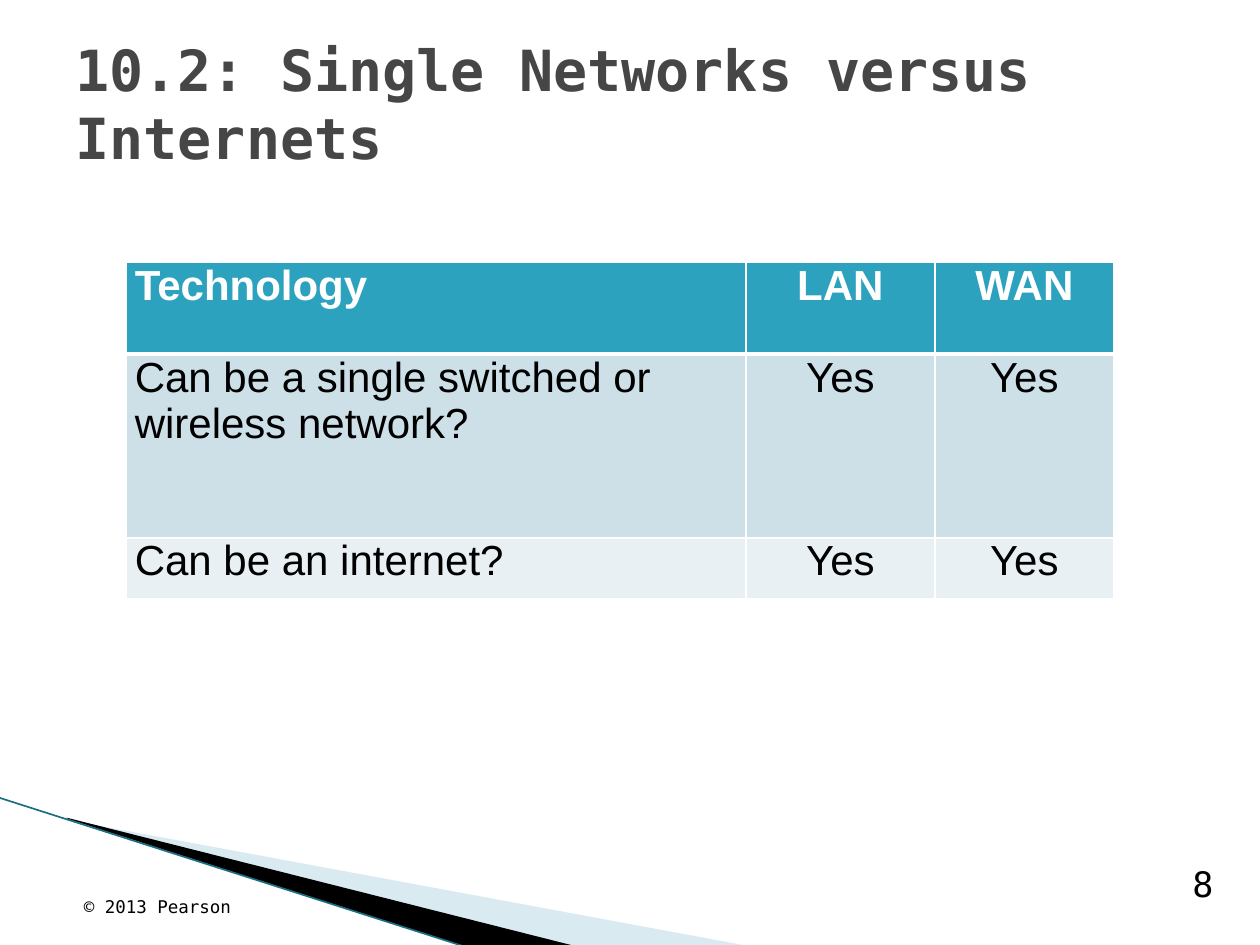
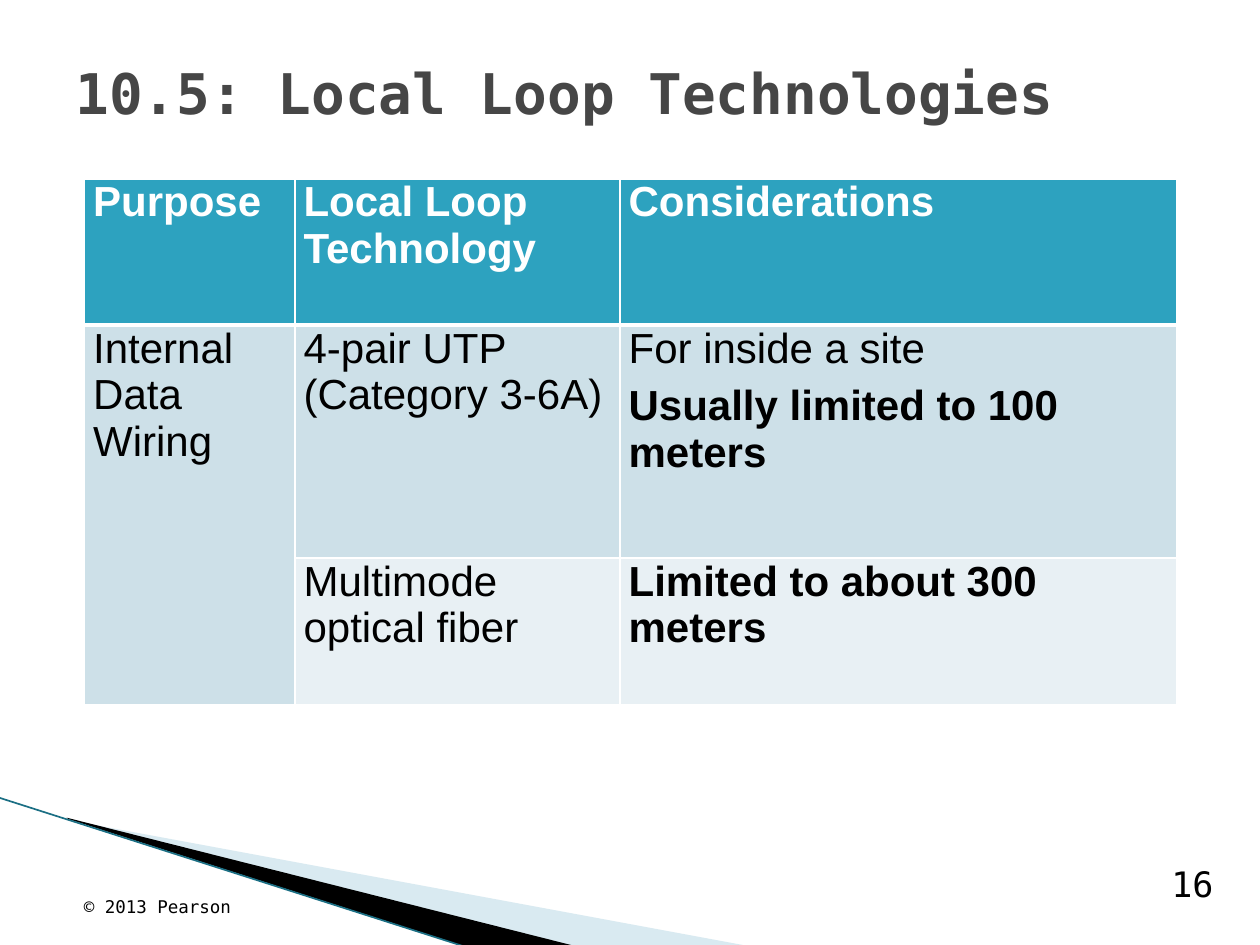
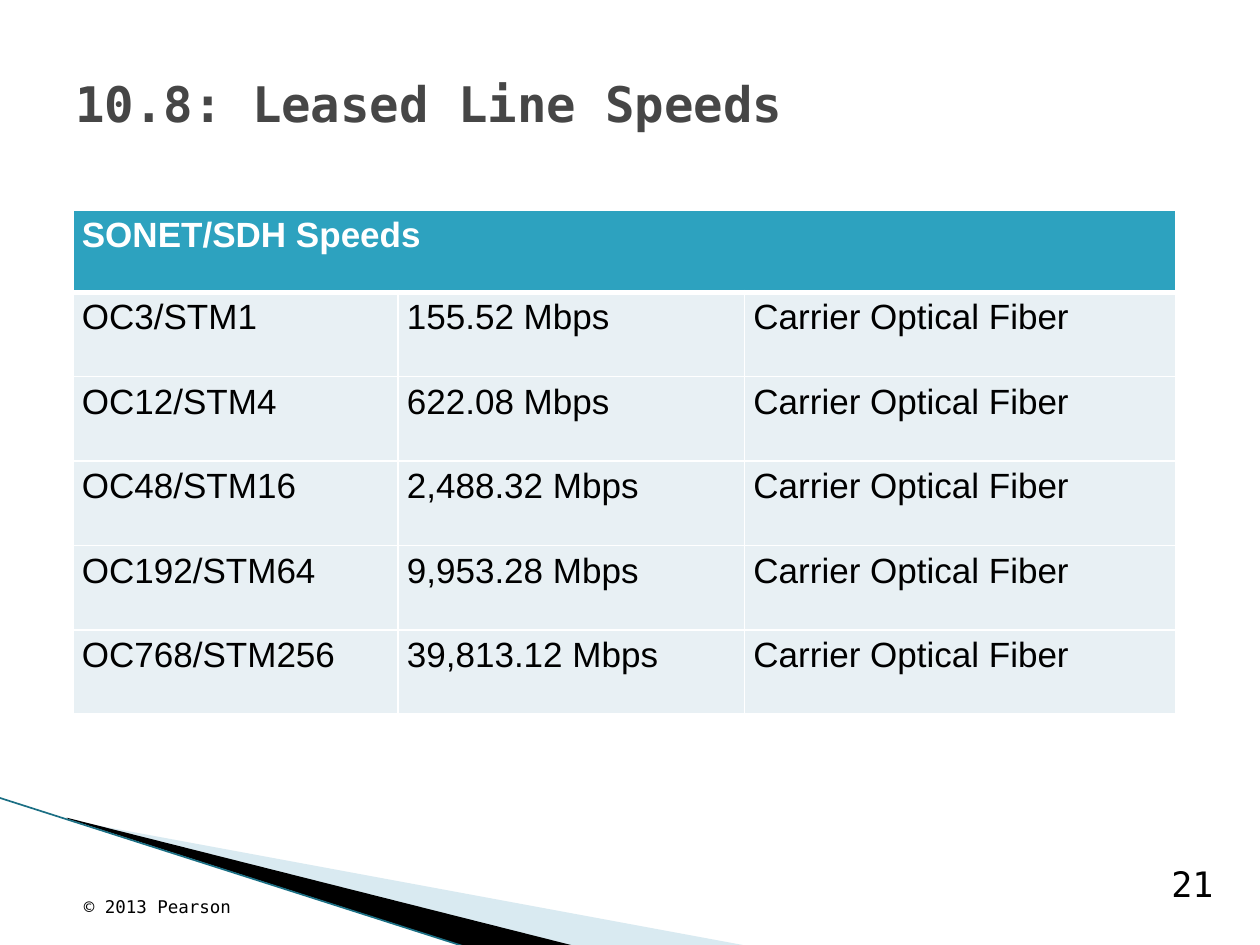
from dataclasses import dataclass

from lxml import etree
from pptx import Presentation
from pptx.dml.color import RGBColor
from pptx.enum.shapes import MSO_CONNECTOR
from pptx.enum.text import MSO_ANCHOR, PP_ALIGN
from pptx.oxml.ns import qn
from pptx.slide import Slide
from pptx.table import _Cell
from pptx.text.text import _Paragraph
from pptx.util import Inches, Pt

LEFT, CENTER, RIGHT = PP_ALIGN.LEFT, PP_ALIGN.CENTER, PP_ALIGN.RIGHT
MIDDLE, BOTTOM = MSO_ANCHOR.MIDDLE, MSO_ANCHOR.BOTTOM
STRAIGHT = MSO_CONNECTOR.STRAIGHT


@dataclass(frozen=True)
class Theme:
    white: str = "FFFFFF"
    ink: str = "000000"
    title: str = "464646"
    header: str = "2DA2BF"
    band_dark: str = "CDE0E8"
    band_light: str = "E8F0F4"
    wedge: str = "A0CBDC"
    edge: str = "1B6F84"
    mono: str = "DejaVu Sans Mono"
    sans: str = "Arial"
    number_size: float = 20
    footer_size: float = 10
    grid_width: float = 1
    header_rule: float = 3
    edge_width: float = 0.95


THEME = Theme()


@dataclass(frozen=True)
class Line:
    text: str
    bold: bool = False


@dataclass(frozen=True)
class Label:
    left: float
    top: float
    width: float
    height: float
    size: float
    color: str = THEME.ink
    bold: bool = False
    align: PP_ALIGN = LEFT
    anchor: MSO_ANCHOR = BOTTOM


@dataclass(frozen=True)
class Grid:
    left: float
    top: float
    columns: tuple[float, ...]
    heights: tuple[float, ...]
    rows: tuple[tuple[str | Line | tuple[Line, ...], ...], ...]
    bands: tuple[str, ...]
    size: float = 24
    spacing: float = 1.0
    centered: tuple[int, ...] = ()
    merge: tuple[int, int, int, int] | None = None


@dataclass(frozen=True)
class Page:
    number: int
    title: str
    title_size: float
    title_height: float
    grid: Grid


@dataclass(frozen=True)
class Wedge:
    points: tuple[tuple[float, float], ...]
    color: str
    opacity: int = 100


WEDGES = (
    Wedge(((0.55, 6.51), (5.95, 7.51), (4.56, 7.51), (0.55, 6.5)), THEME.wedge, 40),
    Wedge(((0.53, 6.49), (4.57, 7.51), (3.72, 7.52), (0.54, 6.5)), THEME.ink),
)
EDGE = (-0.01, 6.33, 3.71, 7.52)
NUMBER = Label(9.08, 6.83, 0.65, 0.4, THEME.number_size, align=RIGHT)
FOOTER = Label(0.5, 7.01, 1.5, 0.32, THEME.footer_size, align=CENTER)

SONET_SPEEDS = (
    ("OC3/STM1", "155.52 Mbps"),
    ("OC12/STM4", "622.08 Mbps"),
    ("OC48/STM16", "2,488.32 Mbps"),
    ("OC192/STM64", "9,953.28 Mbps"),
    ("OC768/STM256", "39,813.12 Mbps"),
)

PAGES = (
    Page(8, "10.2: Single Networks versus Internets", 32.4, 1.03, Grid(
        1, 2.08, (4.92, 1.5, 1.42), (0.73, 1.46, 0.48),
        (
            ("Technology", "LAN", "WAN"),
            ("Can be a single switched or wireless network?", "Yes", "Yes"),
            ("Can be an internet?", "Yes", "Yes"),
        ),
        (THEME.header, THEME.band_dark, THEME.band_light),
        centered=(1, 2),
    )),
    Page(16, "10.5: Local Loop Technologies", 32, 0.87, Grid(
        0.67, 1.42, (1.67, 2.58, 4.42), (1.16, 1.85, 1.16),
        (
            ("Purpose", "Local Loop Technology", "Considerations"),
            ("Internal Data Wiring", "4-pair UTP (Category 3-6A)",
             (Line("For inside a site"), Line("Usually limited to 100 meters", True))),
            ("", "Multimode optical fiber", Line("Limited to about 300 meters", True)),
        ),
        (THEME.header, THEME.band_dark, THEME.band_light),
        merge=(1, 0, 2, 0),
    )),
    Page(21, "10.8: Leased Line Speeds", 28, 1.03, Grid(
        0.58, 1.67, (2.58, 2.75, 3.42), (0.65,) + (0.67,) * len(SONET_SPEEDS),
        (("SONET/SDH Speeds", "", ""),)
        + tuple((*speed, "Carrier Optical Fiber") for speed in SONET_SPEEDS),
        (THEME.header,) + (THEME.band_light,) * len(SONET_SPEEDS),
        size=20, spacing=1.15, merge=(0, 0, 0, 2),
    )),
)


def rgb(color: str) -> RGBColor:
    return RGBColor.from_string(color)


def add_run(paragraph: _Paragraph, text: str, font: str, size: float,
            color: str, bold: bool) -> None:
    run = paragraph.add_run()
    run.text = text
    run.font.name = font
    run.font.size = Pt(size)
    run.font.bold = bold
    run.font.color.rgb = rgb(color)


def draw_label(slide: Slide, label: Label, text: str) -> None:
    box = slide.shapes.add_textbox(*map(Inches, (label.left, label.top, label.width, label.height)))
    frame = box.text_frame
    frame.word_wrap = True
    frame.vertical_anchor = label.anchor
    paragraph = frame.paragraphs[0]
    paragraph.alignment = label.align
    add_run(paragraph, text, THEME.mono, label.size, label.color, label.bold)


def draw_wedge(slide: Slide, wedge: Wedge) -> None:
    start, *rest = [(Inches(x), Inches(y)) for x, y in wedge.points]
    builder = slide.shapes.build_freeform(*start)
    builder.add_line_segments(rest)
    outline = builder.convert_to_shape()
    outline.shadow.inherit = False
    outline.line.fill.background()
    outline.fill.solid()
    outline.fill.fore_color.rgb = rgb(wedge.color)
    if wedge.opacity < 100:
        color = outline.fill._xPr.find(qn("a:solidFill"))[0]
        etree.SubElement(color, qn("a:alpha"), val=str(wedge.opacity * 1000))


def draw_corner(slide: Slide) -> None:
    for wedge in WEDGES:
        draw_wedge(slide, wedge)
    edge = slide.shapes.add_connector(STRAIGHT, *map(Inches, EDGE))
    edge.line.color.rgb = rgb(THEME.edge)
    edge.line.width = Pt(THEME.edge_width)
    etree.SubElement(edge._element.spPr, qn("a:effectLst"))


def draw_borders(cell: _Cell, row: int) -> None:
    top = THEME.header_rule if row == 1 else THEME.grid_width
    bottom = THEME.header_rule if row == 0 else THEME.grid_width
    widths = {"lnL": THEME.grid_width, "lnR": THEME.grid_width, "lnT": top, "lnB": bottom}
    properties = cell._tc.get_or_add_tcPr()
    for side, width in widths.items():
        border = etree.SubElement(properties, qn(f"a:{side}"), w=str(Pt(width)))
        fill = etree.SubElement(border, qn("a:solidFill"))
        etree.SubElement(fill, qn("a:srgbClr"), val=THEME.white)


def write_cell(cell: _Cell, content: str | Line | tuple[Line, ...], grid: Grid,
               is_header: bool, align: PP_ALIGN) -> None:
    if isinstance(content, str):
        content = Line(content, is_header)
    lines = content if isinstance(content, tuple) else (content,)
    color = THEME.white if is_header else THEME.ink
    frame = cell.text_frame
    for index, line in enumerate(lines):
        paragraph = frame.add_paragraph() if index else frame.paragraphs[0]
        paragraph.alignment = align
        paragraph.line_spacing = grid.spacing
        paragraph.space_after = Pt(3)
        if index:
            paragraph.space_before = Pt(3)
        add_run(paragraph, line.text, THEME.sans, grid.size, color, line.bold)


def draw_grid(slide: Slide, grid: Grid) -> None:
    extent = (grid.left, grid.top, sum(grid.columns), sum(grid.heights))
    table = slide.shapes.add_table(
        len(grid.rows), len(grid.columns), *map(Inches, extent)).table
    table.horz_banding = False
    for column, width in zip(table.columns, grid.columns):
        column.width = Inches(width)
    for row, height in zip(table.rows, grid.heights):
        row.height = Inches(height)
    for row, contents in enumerate(grid.rows):
        for column, content in enumerate(contents):
            cell = table.cell(row, column)
            cell.margin_left = cell.margin_right = Inches(0.07)
            cell.margin_top = cell.margin_bottom = 0
            draw_borders(cell, row)
            cell.fill.solid()
            cell.fill.fore_color.rgb = rgb(grid.bands[row])
            if content:
                align = CENTER if column in grid.centered else LEFT
                write_cell(cell, content, grid, row == 0, align)
    if grid.merge:
        first_row, first_column, last_row, last_column = grid.merge
        table.cell(first_row, first_column).merge(table.cell(last_row, last_column))


def draw_page(slide: Slide, page: Page) -> None:
    draw_corner(slide)
    draw_grid(slide, page.grid)
    heading = Label(0.5, 0.3, 9, page.title_height, page.title_size,
                    THEME.title, bold=True, anchor=MIDDLE)
    draw_label(slide, heading, page.title)
    draw_label(slide, NUMBER, str(page.number))
    draw_label(slide, FOOTER, "© 2013 Pearson")


def main() -> None:
    deck = Presentation()
    deck.slide_width, deck.slide_height = Inches(10), Inches(7.5)
    blank = deck.slide_layouts[6]
    for page in PAGES:
        draw_page(deck.slides.add_slide(blank), page)
    deck.save("out.pptx")


if __name__ == "__main__":
    main()
